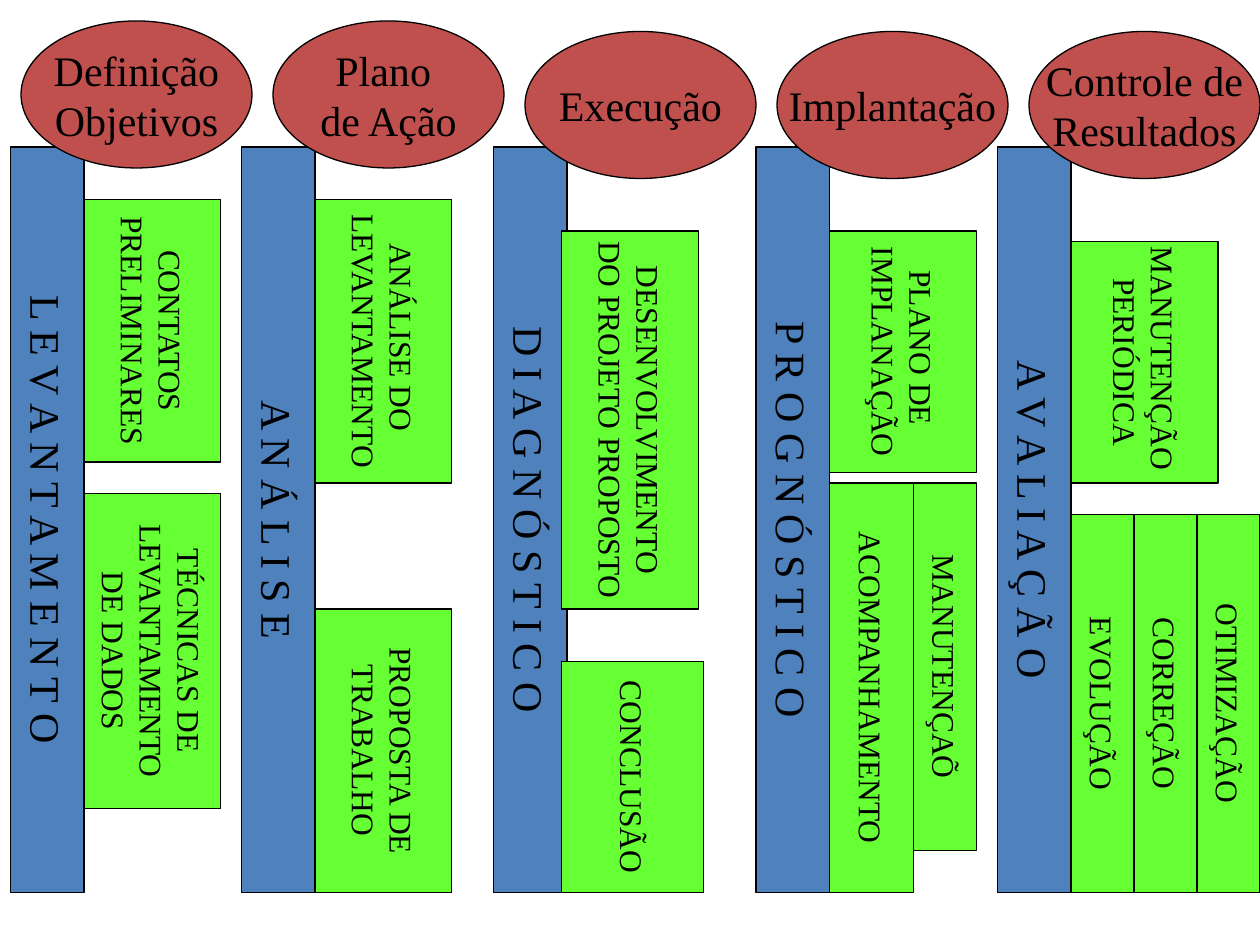
from pptx import Presentation
from pptx.dml.color import RGBColor
from pptx.enum.shapes import MSO_SHAPE
from pptx.enum.text import MSO_ANCHOR, PP_ALIGN
from pptx.util import Cm, Pt

RECT, OVAL = MSO_SHAPE.RECTANGLE, MSO_SHAPE.OVAL
MIDDLE, CENTER = MSO_ANCHOR.MIDDLE, PP_ALIGN.CENTER

THEME = {
    "font": "Times New Roman",
    "ink": RGBColor.from_string("000000"),
    "bar": RGBColor.from_string("4F81BD"),
    "goal": RGBColor.from_string("C0504D"),
    "task": RGBColor.from_string("66FF33"),
    "large": Pt(24),
    "small": Pt(18),
    "line": Pt(0.75),
}

UNIT = 2.54 / 12
BAR_TOP, BAR_WIDTH, BAR_HEIGHT = 14, 7, 71
GOAL_LEFT, GOAL_STEP, GOAL_WIDTH, GOAL_HEIGHT = 2, 24, 22, 14

# Grid units; each task is text, offset from its bar, top, width, height.
STAGES = [
    {"name": "LEVANTAMENTO", "left": 1, "goal": "Definição\nObjetivos", "goal_top": 2,
     "tasks": [("CONTATOS\nPRELIMINARES", 0, 19, 13, 25),
               ("TÉCNICAS DE\nLEVANTAMENTO\nDE DADOS", 0, 47, 13, 30)]},
    {"name": "ANÁLISE", "left": 23, "goal": "Plano \nde Ação", "goal_top": 2,
     "tasks": [("ANÁLISE DO \nLEVANTAMENTO", 0, 19, 13, 27),
               ("PROPOSTA DE\nTRABALHO", 0, 58, 13, 27)]},
    {"name": "DIAGNÓSTICO", "left": 47, "goal": "Execução", "goal_top": 3,
     "tasks": [("DESENVOLVIMENTO\nDO PROJETO PROPOSTO", -0.5, 22, 13, 36),
               ("CONCLUSÃO", -0.5, 63, 13.5, 22)]},
    {"name": "PROGNÓSTICO", "left": 72, "goal": "Implantação", "goal_top": 3,
     "tasks": [("PLANO DE \nIMPLANAÇÃO", 0, 22, 14, 23),
               ("MANUTENÇAÕ", 8, 46, 6, 35),
               ("ACOMPANHAMENTO", 0, 46, 8, 39)]},
    {"name": "AVALIAÇÃO", "left": 95, "goal": "Controle de\nResultados", "goal_top": 3,
     "tasks": [("MANUTENÇÃO \nPERIÓDICA", 0, 23, 14, 23),
               ("EVOLUÇÃO", 0, 49, 6, 36),
               ("CORREÇÃO", 6, 49, 6, 36),
               ("OTIMIZAÇÃO", 12, 49, 6, 36)]},
]


def add_block(s, kind, text, box, fill, size):
    sp = s.shapes.add_shape(kind, *(Cm(v * UNIT) for v in box))
    sp.shadow.inherit = False
    sp.fill.solid()
    sp.fill.fore_color.rgb = fill
    sp.line.color.rgb = THEME["ink"]
    sp.line.width = THEME["line"]
    tf = sp.text_frame
    tf.word_wrap = False
    tf.vertical_anchor = MIDDLE
    tf.text = text
    for p in tf.paragraphs:
        p.alignment = CENTER
        p.font.name = THEME["font"]
        p.font.size = size
        p.font.color.rgb = THEME["ink"]
    return sp


def add_turned(s, text, box, fill, size):
    left, top, width, height = box
    shift = (height - width) / 2
    turned = (left - shift, top + shift, height, width)
    add_block(s, RECT, text, turned, fill, size).rotation = 90


def main():
    prs = Presentation()
    prs.slide_width, prs.slide_height = Cm(25.4), Cm(19.05)
    s = prs.slides.add_slide(prs.slide_layouts[6])

    for stage in STAGES:
        box = (stage["left"], BAR_TOP, BAR_WIDTH, BAR_HEIGHT)
        add_turned(s, " ".join(stage["name"]), box, THEME["bar"], THEME["large"])

    for i, stage in enumerate(STAGES):
        box = (GOAL_LEFT + i * GOAL_STEP, stage["goal_top"], GOAL_WIDTH, GOAL_HEIGHT)
        add_block(s, OVAL, stage["goal"], box, THEME["goal"], THEME["large"])

    for stage in STAGES:
        edge = stage["left"] + BAR_WIDTH
        for text, offset, top, width, height in stage["tasks"]:
            box = (edge + offset, top, width, height)
            add_turned(s, text, box, THEME["task"], THEME["small"])

    prs.save("out.pptx")


if __name__ == "__main__":
    main()
